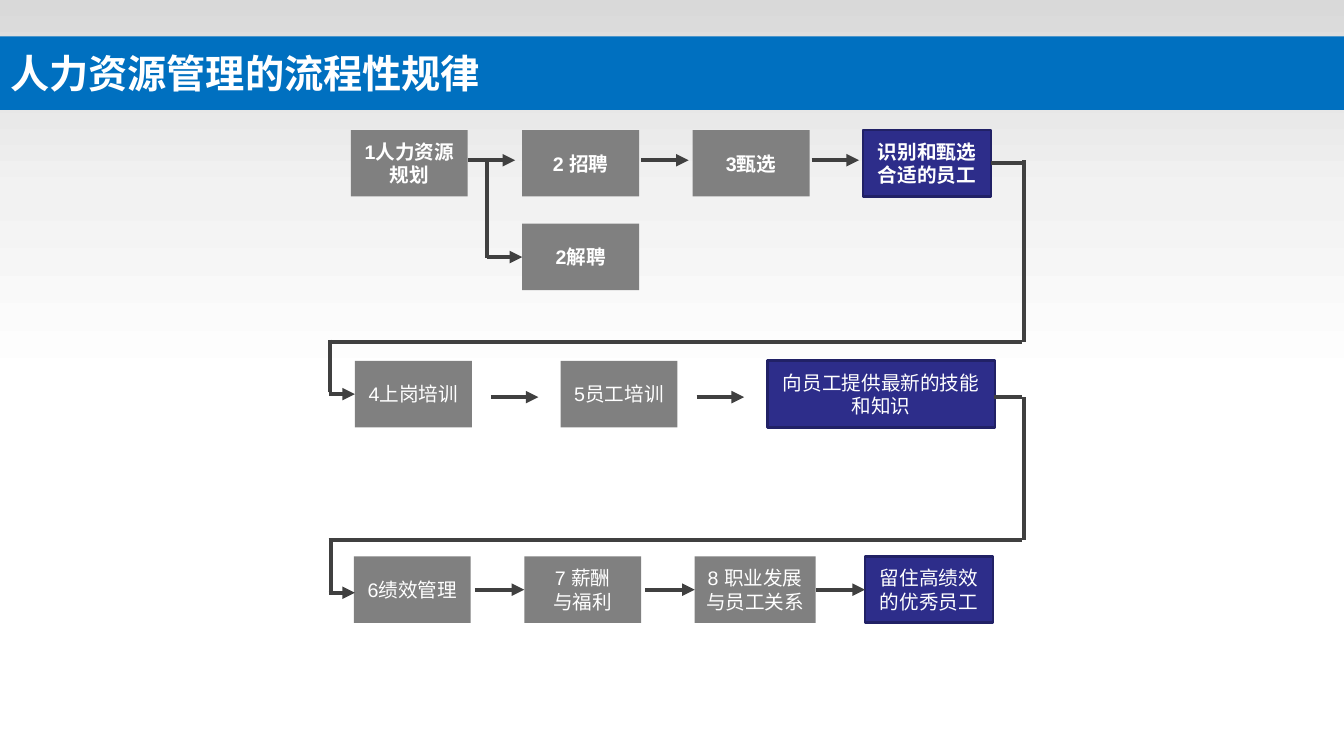
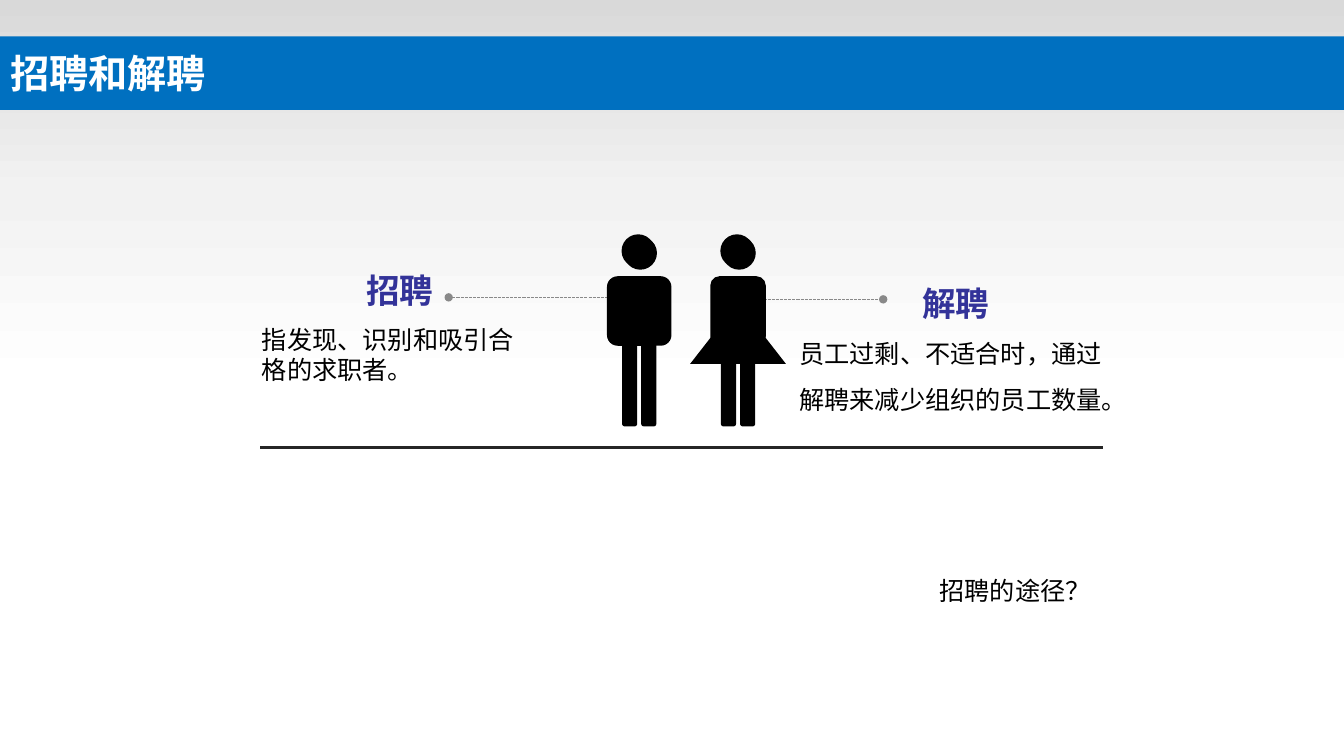
from dataclasses import dataclass

from lxml import etree
from pptx import Presentation
from pptx.dml.color import RGBColor
from pptx.enum.dml import MSO_LINE
from pptx.enum.lang import MSO_LANGUAGE_ID as LANG
from pptx.enum.shapes import MSO_CONNECTOR, MSO_SHAPE as SHAPE
from pptx.enum.text import MSO_ANCHOR as ANCHOR, MSO_AUTO_SIZE as AUTO, PP_ALIGN as ALIGN
from pptx.oxml.ns import qn
from pptx.util import Inches, Pt

COLORS = {
    "title_band": "0070C0", "white": "FFFFFF", "black": "000000",
    "shade_dark": "D9D9D9", "shade_light": "F2F2F2",
    "step": "808080", "goal": "2D2D8A", "goal_edge": "212166",
    "flow": "404040", "heading": "333399", "leader": "898989", "ground": "262626",
}
WIDTH, HEIGHT = 13.33, 7.5
BODY_FONT, TITLE_FONT = "Arial", "Noto Sans CJK SC"
LEFT, RIGHT = 1, 3  # connection sites of a rectangle

BOX_HEIGHT, STEP_WIDTH, GOAL_WIDTH = 0.66, 1.16, 1.27
ARROW_LENGTH = 0.47
ROW_1, ROW_DISMISS, ROW_2, ROW_3 = 1.29, 2.22, 3.58, 5.52
RAIL_LEFT, RAIL_RIGHT = 3.26, 10.16


@dataclass(frozen=True)
class Box:
    key: str
    left: float
    top: float
    text: str
    width: float = STEP_WIDTH
    goal: bool = False
    bold: bool = False


@dataclass(frozen=True)
class Line:
    x1: float
    y1: float
    x2: float
    y2: float
    color: str = "flow"
    weight: float = 3
    head: str = ""
    tail: str = ""
    dashed: bool = False
    source: str = ""
    target: str = ""


@dataclass(frozen=True)
class Para:
    text: str
    size: float = 14
    color: str = "white"
    bold: bool = False
    font: str = BODY_FONT
    align: ALIGN = ALIGN.LEFT
    before: float = 0
    spacing: float = 1.0


@dataclass(frozen=True)
class Person:
    center: float
    torso_width: float
    skirt_width: float = 0


def arrow(x: float, y: float, length: float = ARROW_LENGTH,
          source: str = "", target: str = "") -> Line:
    return Line(x, y, round(x + length, 2), y, tail="triangle", source=source, target=target)


BOXES = [
    Box("plan", 3.48, ROW_1, "1人力资源规划", bold=True),
    Box("recruit", 5.18, ROW_1, "2 招聘", bold=True),
    Box("select", 6.87, ROW_1, "3甄选", bold=True),
    Box("right_staff", 8.56, ROW_1, "识别和甄选合适的员工", GOAL_WIDTH, True, True),
    Box("dismiss", 5.18, ROW_DISMISS, "2解聘", bold=True),
    Box("induct", 3.52, ROW_2, "4上岗培训"),
    Box("train", 5.56, ROW_2, "5员工培训"),
    Box("skills", 7.61, ROW_2, "向员工提供最新的技能和知识", 2.26, True),
    Box("perform", 3.51, ROW_3, "6绩效管理"),
    Box("pay", 5.2, ROW_3, "7 薪酬\n与福利"),
    Box("career", 6.89, ROW_3, "8 职业发展与员工关系", 1.2),
    Box("keep", 8.58, ROW_3, "留住高绩效的优秀员工", GOAL_WIDTH, True),
]
FLOW = [
    *(arrow(x, 1.59) for x in (4.64, 6.36, 8.05)),
    *(arrow(x, 3.94) for x in (4.87, 6.91)),
    arrow(4.71, 5.85, target="pay"),
    arrow(6.4, 5.85, target="career"),
    arrow(8.1, 5.85, source="career", target="keep"),
    Line(4.83, 1.59, 4.83, 2.56),
    arrow(4.83, 2.55, 0.35, target="dismiss"),
    Line(9.82, 1.62, RAIL_RIGHT, 1.62, source="right_staff"),
    Line(RAIL_RIGHT, 1.59, RAIL_RIGHT, 3.39),
    Line(RAIL_LEFT, 3.39, 10.14, 3.39),
    Line(3.27, 3.37, 3.27, 3.89),
    arrow(RAIL_LEFT, 3.91, 0.26, target="induct"),
    Line(9.86, 3.94, 10.14, 3.94),
    Line(RAIL_RIGHT, 3.94, RAIL_RIGHT, 5.36),
    Line(RAIL_LEFT, 5.36, 10.14, 5.36),
    Line(3.28, 5.36, 3.28, 5.88),
    arrow(RAIL_LEFT, 5.88, 0.26),
]
PEOPLE = [Person(6.34, 0.64), Person(7.32, 0.55, 0.95)]
LEADERS = [
    Line(4.45, 2.95, 6.1, 2.95, "leader", 0.75, head="oval", dashed=True),
    Line(7.49, 2.97, 8.76, 2.97, "leader", 0.75, tail="oval", dashed=True),
]
GROUND = Line(2.58, 4.44, 10.94, 4.44, "ground", 2)


def rgb(name: str) -> RGBColor:
    return RGBColor.from_string(COLORS[name])


def add_filled(shapes, kind: SHAPE, left: float, top: float, width: float, height: float,
               color: str):
    shape = shapes.add_shape(kind, Inches(left), Inches(top), Inches(width), Inches(height))
    shape.shadow.inherit = False
    shape.fill.solid()
    shape.fill.fore_color.rgb = rgb(color)
    shape.line.fill.background()
    return shape


def write(frame, paras: list[Para]) -> None:
    frame.word_wrap = True
    for index, para in enumerate(paras):
        paragraph = frame.add_paragraph() if index else frame.paragraphs[0]
        layout = {"alignment": para.align, "line_spacing": para.spacing}
        if index:
            layout["space_before"] = Pt(para.before)
        for name, value in layout.items():
            setattr(paragraph, name, value)
        run = paragraph.add_run()
        run.text = para.text
        style = {"size": Pt(para.size), "bold": para.bold, "name": para.font,
                 "language_id": LANG.SIMPLIFIED_CHINESE}
        for name, value in style.items():
            setattr(run.font, name, value)
        run.font.color.rgb = rgb(para.color)
        east_asian = etree.SubElement(run._r.get_or_add_rPr(), qn("a:ea"))
        east_asian.set("typeface", para.font)


def add_line(shapes, line: Line, boxes: dict):
    connector = shapes.add_connector(
        MSO_CONNECTOR.STRAIGHT, Inches(line.x1), Inches(line.y1), Inches(line.x2), Inches(line.y2))
    if line.source:
        connector.begin_connect(boxes[line.source], RIGHT)
    if line.target:
        connector.end_connect(boxes[line.target], LEFT)
    connector.line.color.rgb = rgb(line.color)
    connector.line.width = Pt(line.weight)
    if line.dashed:
        connector.line.dash_style = MSO_LINE.SQUARE_DOT
    outline = connector.get_or_add_ln()
    for tag, end in (("a:headEnd", line.head), ("a:tailEnd", line.tail)):
        if end:
            etree.SubElement(outline, qn(tag)).set("type", end)
    etree.SubElement(outline.getparent(), qn("a:effectLst"))


def shade_downwards(shape, stops: dict[int, str]) -> None:
    shape.fill.gradient()
    shape.fill.gradient_angle = 270
    stop_list = shape._element.spPr.find(".//" + qn("a:gsLst"))
    for stop in list(stop_list):
        stop_list.remove(stop)
    for percent, color in stops.items():
        stop = etree.SubElement(stop_list, qn("a:gs"), pos=str(percent * 1000))
        etree.SubElement(stop, qn("a:srgbClr"), val=COLORS[color])


def add_backdrop(slide) -> None:
    """Draw the shaded top on the slide, then hand it to the slide's layout."""
    shade = add_filled(slide.shapes, SHAPE.RECTANGLE, 0, 0, WIDTH, 3.83, "shade_dark")
    shade_downwards(shade, {0: "shade_dark", 50: "shade_light", 100: "white"})
    strip = add_filled(slide.shapes, SHAPE.RECTANGLE, 0, 0.76, WIDTH, 0.24, "shade_dark")
    for part in (shade, strip):
        slide.slide_layout.shapes.element.append(part._element)


def add_titled_slide(deck, text: str):
    slide = deck.slides.add_slide(deck.slide_layouts[5])
    title = slide.shapes.title
    place = {"left": 0, "top": 0.36, "width": WIDTH, "height": 0.73}
    for name, value in place.items():
        setattr(title, name, Inches(value))
    title.fill.solid()
    title.fill.fore_color.rgb = rgb("title_band")
    title.text_frame.vertical_anchor = ANCHOR.MIDDLE
    title.text_frame.auto_size = AUTO.NONE
    write(title.text_frame, [Para(text, 28, bold=True, font=TITLE_FONT)])
    return slide


def add_box(shapes, box: Box):
    shape = add_filled(shapes, SHAPE.RECTANGLE, box.left, box.top, box.width, BOX_HEIGHT,
                       "goal" if box.goal else "step")
    if box.goal:
        shape.line.color.rgb = rgb("goal_edge")
        shape.line.width = Pt(2)
    shape.text_frame.vertical_anchor = ANCHOR.MIDDLE
    write(shape.text_frame,
          [Para(text, bold=box.bold, align=ALIGN.CENTER) for text in box.text.split("\n")])
    return shape


def add_person(shapes, person: Person) -> None:
    parts = shapes.add_group_shape().shapes

    def add_part(kind: SHAPE, center: float, top: float, width: float, height: float):
        return add_filled(parts, kind, center - width / 2, top, width, height, "black")

    for offset in (-0.095, 0.095):
        add_part(SHAPE.ROUNDED_RECTANGLE, person.center + offset, 3.15, 0.15, 1.08)
    add_part(SHAPE.ROUNDED_RECTANGLE, person.center, 2.74, person.torso_width, 0.69)
    head = add_part(SHAPE.ROUNDED_RECTANGLE, person.center, 2.32, 0.33, 0.36)
    head.adjustments[0] = 0.5
    head.rotation = 135
    if person.skirt_width:
        add_part(SHAPE.ISOSCELES_TRIANGLE, person.center, 3, person.skirt_width, 0.61)


def add_text(shapes, left: float, top: float, width: float, height: float,
             paras: list[Para], grow: bool = True) -> None:
    frame = shapes.add_textbox(
        Inches(left), Inches(top), Inches(width), Inches(height)).text_frame
    frame.auto_size = AUTO.SHAPE_TO_FIT_TEXT if grow else AUTO.NONE
    write(frame, paras)


def build_process(deck) -> None:
    slide = add_titled_slide(deck, "人力资源管理的流程性规律")
    add_backdrop(slide)
    boxes = {box.key: add_box(slide.shapes, box) for box in BOXES}
    for line in FLOW:
        add_line(slide.shapes, line, boxes)


def build_recruitment(deck) -> None:
    shapes = add_titled_slide(deck, "招聘和解聘").shapes
    for line in (*LEADERS, GROUND):
        add_line(shapes, line, {})
    heading = {"size": 24, "color": "heading", "bold": True, "align": ALIGN.CENTER}
    body = {"size": 18, "color": "black"}
    add_text(shapes, 2.5, 2.63, 2.93, 1.13, [
        Para("招聘", **heading),
        Para("指发现、识别和吸引合格的求职者。", before=10, **body)], grow=False)
    add_text(shapes, 7.83, 2.56, 3.3, 1.62, [
        Para("解聘", spacing=1.5, **heading),
        Para("员工过剩、不适合时，通过解聘来减少组织的员工数量。", spacing=1.5, **body)])
    for person in PEOPLE:
        add_person(shapes, person)
    add_text(shapes, 9.22, 5.66, 1.71, 0.41, [Para("招聘的途径？", **body)])


def main() -> None:
    deck = Presentation()
    deck.slide_width, deck.slide_height = Inches(WIDTH), Inches(HEIGHT)
    build_process(deck)
    build_recruitment(deck)
    deck.save("out.pptx")


if __name__ == "__main__":
    main()
